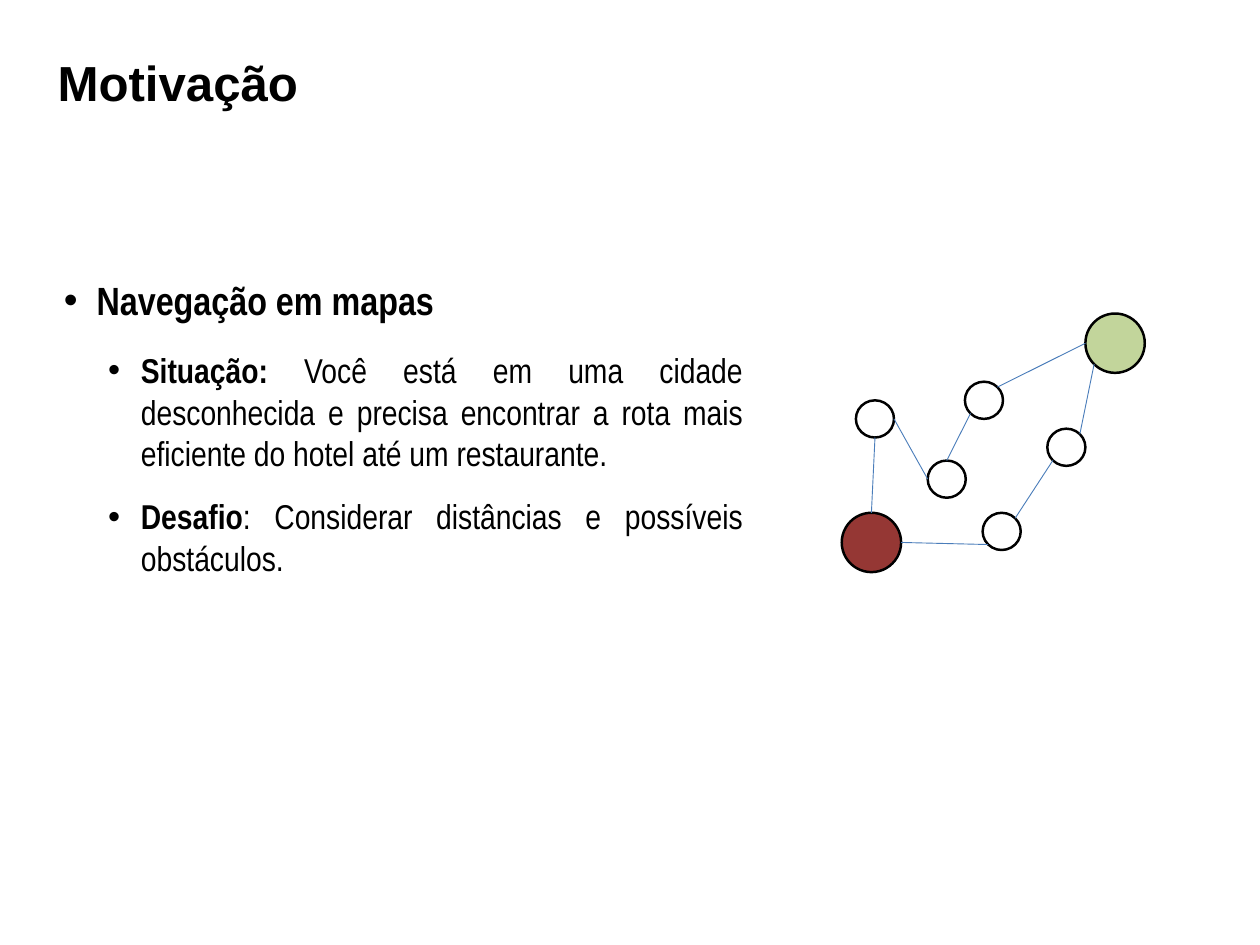
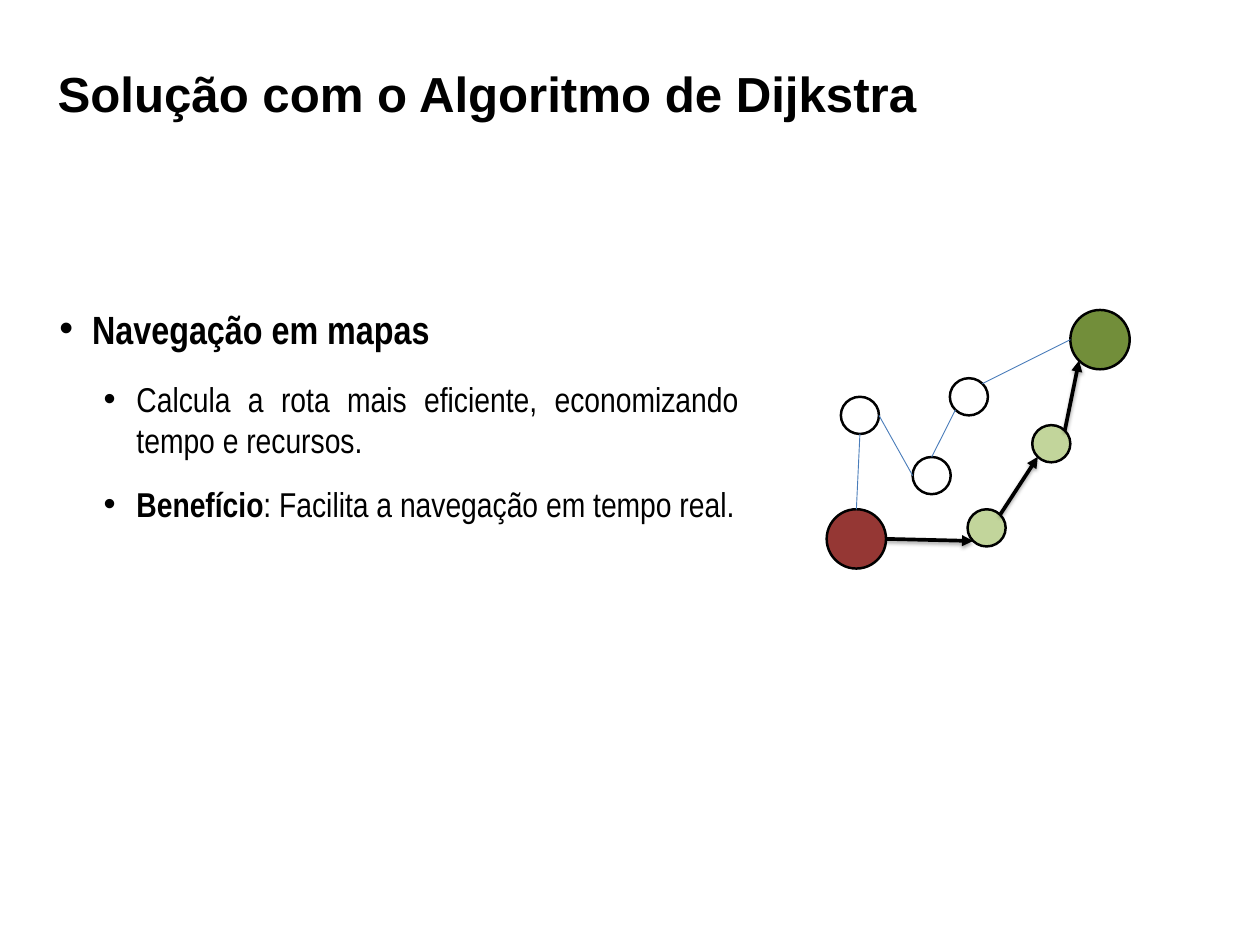
from math import cos, radians, sin

from lxml import etree
from pptx import Presentation
from pptx.dml.color import RGBColor
from pptx.enum.shapes import MSO_CONNECTOR, MSO_SHAPE
from pptx.enum.text import MSO_ANCHOR, PP_ALIGN
from pptx.oxml.ns import qn
from pptx.util import Inches, Pt

ELLIPSE = MSO_SHAPE.OVAL
STRAIGHT = MSO_CONNECTOR.STRAIGHT
TOP = MSO_ANCHOR.TOP
LEFT, JUSTIFY = PP_ALIGN.LEFT, PP_ALIGN.JUSTIFY

COLORS = {
    "black": "000000",
    "edge": "4A7DBA",
    "origin": "953734",
    "light_green": "C2D59B",
    "dark_green": "728E3A",
}

TITLE_FONT = {"name": "Arial", "size": Pt(40), "bold": True}
HEADING_FONT = {"name": "Arial Narrow", "size": Pt(32), "bold": True}
ITEM_FONT = {"name": "Arial Narrow", "size": Pt(28), "bold": False}
FRAME = {
    "word_wrap": True,
    "vertical_anchor": TOP,
    "margin_left": 0,
    "margin_right": 0,
    "margin_top": Inches(0.01),
    "margin_bottom": 0,
}
HEADING_GAP, ITEM_GAP = 21, 18

LARGE, SMALL = (0.67, 0.67), (0.43, 0.42)
NODES = {
    "origin": (0, 2.25, LARGE),
    "west": (0.16, 0.98, SMALL),
    "goal": (2.75, 0, LARGE),
    "north": (1.39, 0.77, SMALL),
    "east": (2.32, 1.3, SMALL),
    "south": (1.59, 2.25, SMALL),
    "middle": (0.97, 1.66, SMALL),
}
ANGLES = {"right": 0, "lower left": 135, "top": 270, "bottom": 90, "left": 180, "upper right": 315}
SIDE_EDGES = [
    ("origin", "top", "west", "bottom"),
    ("west", "right", "middle", "left"),
    ("north", "lower left", "middle", "top"),
    ("goal", "left", "north", "upper right"),
]
ROUTE_EDGES = [
    ("origin", "right", "south", "lower left"),
    ("south", "upper right", "east", "lower left"),
    ("east", "upper right", "goal", "lower left"),
]


def color(name):
    return RGBColor.from_string(COLORS[name])


def set_attributes(target, values):
    for name, value in values.items():
        setattr(target, name, value)


def add_frame(slide, box):
    shape = slide.shapes.add_textbox(*(Inches(length) for length in box))
    set_attributes(shape.text_frame, FRAME)
    return shape.text_frame


def add_run(paragraph, text, values):
    run = paragraph.add_run()
    run.text = text
    set_attributes(run.font, values)
    run.font.color.rgb = color("black")


def add_bullet(paragraph, margin):
    properties = paragraph._p.get_or_add_pPr()
    properties.set("marL", str(Inches(margin)))
    properties.set("indent", str(Inches(-0.37)))
    bullet_color = etree.SubElement(properties, qn("a:buClr"))
    etree.SubElement(bullet_color, qn("a:srgbClr"), val=COLORS["black"])
    etree.SubElement(properties, qn("a:buFont"), typeface="Arial")
    etree.SubElement(properties, qn("a:buChar"), char="•")


def add_title(slide, box, text):
    paragraph = add_frame(slide, box).paragraphs[0]
    add_run(paragraph, text, TITLE_FONT)


def add_body(slide, box, heading, items):
    frame = add_frame(slide, box)
    paragraph = frame.paragraphs[0]
    add_bullet(paragraph, 0.39)
    paragraph.alignment = LEFT
    add_run(paragraph, heading, HEADING_FONT)
    for index, (label, text) in enumerate(items):
        paragraph = frame.add_paragraph()
        add_bullet(paragraph, 0.89)
        paragraph.level = 1
        paragraph.alignment = JUSTIFY
        paragraph.space_before = Pt(ITEM_GAP if index else HEADING_GAP)
        if label:
            add_run(paragraph, label, {**ITEM_FONT, "bold": True})
        add_run(paragraph, text, ITEM_FONT)


def add_node(slide, left, top, name, fill):
    x, y, (width, height) = NODES[name]
    lengths = (left + x, top + y, width, height)
    shape = slide.shapes.add_shape(ELLIPSE, *(Inches(length) for length in lengths))
    shape.shadow.inherit = False
    if fill:
        shape.fill.solid()
        shape.fill.fore_color.rgb = color(fill)
    else:
        shape.fill.background()
    shape.line.color.rgb = color("black")
    shape.line.width = Pt(2)


def rim_point(left, top, name, side):
    x, y, (width, height) = NODES[name]
    angle = radians(ANGLES[side])
    return (
        Inches(left + x + width / 2 * (1 + cos(angle))),
        Inches(top + y + height / 2 * (1 + sin(angle))),
    )


def add_edge(slide, left, top, edge, arrow):
    start, start_side, end, end_side = edge
    connector = slide.shapes.add_connector(
        STRAIGHT,
        *rim_point(left, top, start, start_side),
        *rim_point(left, top, end, end_side),
    )
    connector.line.color.rgb = color("black" if arrow else "edge")
    connector.line.width = Pt(3 if arrow else 0.75)
    effects = etree.SubElement(connector._element.spPr, qn("a:effectLst"))
    if arrow:
        etree.SubElement(connector.line._get_or_add_ln(), qn("a:tailEnd"), type="triangle")
        shadow = etree.SubElement(
            effects, qn("a:outerShdw"), blurRad=str(Pt(3.1)), dist=str(Pt(1.8)),
            dir="5400000", rotWithShape="0",
        )
        shade = etree.SubElement(shadow, qn("a:srgbClr"), val=COLORS["black"])
        etree.SubElement(shade, qn("a:alpha"), val="35000")


def add_map(slide, left, top, fills, show_route):
    for name in NODES:
        add_node(slide, left, top, name, fills.get(name))
    for edge in SIDE_EDGES:
        add_edge(slide, left, top, edge, False)
    for edge in ROUTE_EDGES:
        add_edge(slide, left, top, edge, show_route)


SLIDES = [
    {
        "title": ((0.65, 0.58, 4.63, 0.69), "Motivação"),
        "body": (
            (0.7, 3.11, 7.68, 4.44),
            "Navegação em mapas",
            [
                ("Situação:", " Você está em uma cidade desconhecida e precisa "
                 "encontrar a rota mais eficiente do hotel até um restaurante."),
                ("Desafio", ": Considerar distâncias e possíveis obstáculos."),
            ],
        ),
        "map": (9.5, 3.54, {"origin": "origin", "goal": "light_green"}, False),
    },
    {
        "title": ((0.65, 0.7, 10.29, 0.69), "Solução com o Algoritmo de Dijkstra"),
        "body": (
            (0.65, 3.43, 7.68, 3.82),
            "Navegação em mapas",
            [
                ("", "Calcula a rota mais eficiente, economizando tempo e recursos."),
                ("Benefício", ": Facilita a navegação em tempo real."),
            ],
        ),
        "map": (
            9.33, 3.5,
            {"origin": "origin", "goal": "dark_green",
             "east": "light_green", "south": "light_green"},
            True,
        ),
    },
]


def main():
    presentation = Presentation()
    presentation.slide_width = Inches(14.22)
    presentation.slide_height = Inches(10.67)
    for content in SLIDES:
        slide = presentation.slides.add_slide(presentation.slide_layouts[6])
        add_title(slide, *content["title"])
        add_body(slide, *content["body"])
        add_map(slide, *content["map"])
    presentation.save("out.pptx")


if __name__ == "__main__":
    main()
